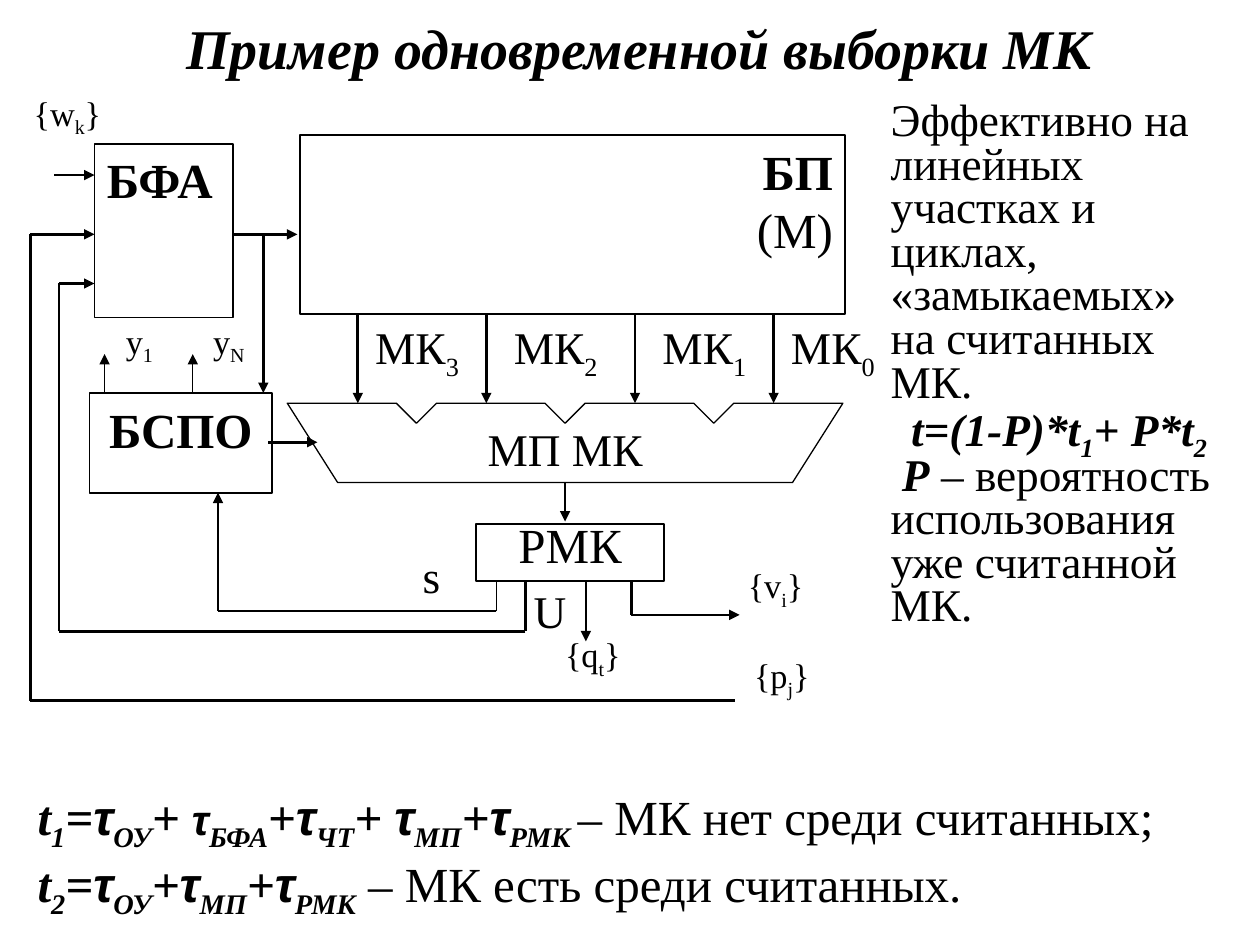
from collections import namedtuple
from itertools import pairwise

from lxml.etree import SubElement
from pptx import Presentation
from pptx.dml.color import RGBColor
from pptx.enum.shapes import MSO_CONNECTOR, MSO_SHAPE
from pptx.enum.text import MSO_ANCHOR, PP_ALIGN
from pptx.oxml.ns import qn
from pptx.util import Inches, Pt

BLACK = RGBColor(0, 0, 0)
SERIF, SANS = "Times New Roman", "Arial"
SMALL, MEDIUM, LARGE = 19.6, 25.9, 28
THIN, THICK = 0.75, 1.5
LEFT, CENTER, RIGHT = PP_ALIGN.LEFT, PP_ALIGN.CENTER, PP_ALIGN.RIGHT


class Box(namedtuple("Box", "left top width height")):
    @property
    def right(self):
        return self.left + self.width

    @property
    def bottom(self):
        return self.top + self.height

    @property
    def middle(self):
        return self.left + self.width / 2

    def inches(self):
        return [Inches(value) for value in self]


Part = namedtuple("Part", "text bold italic size", defaults=(False, False, None))


def add_spans(para, part):
    """Add a part's text: |x| is a subscript, and tau is set in the sans font."""
    for index, chunk in enumerate(part.text.split("|")):
        for piece in chunk.replace("τ", "\nτ\n").split("\n"):
            if not piece:
                continue
            span = para.add_run()
            span.text = piece
            span.font.bold, span.font.italic = part.bold, part.italic
            if piece == "τ":
                span.font.name = SANS
            if part.size:
                span.font.size = Pt(part.size)
            if index % 2:
                span.font._element.set("baseline", "-25000")


def write(frame, paragraphs, size, align=CENTER, spacing=None):
    """Fill a frame with paragraphs, each a list of parts."""
    frame.word_wrap = True
    frame.vertical_anchor = MSO_ANCHOR.TOP
    for index, parts in enumerate(paragraphs):
        para = frame.add_paragraph() if index else frame.paragraphs[0]
        para.alignment = align
        para.line_spacing = spacing
        para.font.name, para.font.size = SERIF, Pt(size)
        para.font.color.rgb = BLACK
        for part in parts:
            add_spans(para, part)


def add_label(page, box, text, size, spacing=None):
    frame = page.shapes.add_textbox(*box.inches()).text_frame
    write(frame, [[Part(text)]], size, spacing=spacing)


def outline(shape, width):
    shape.shadow.inherit = False
    shape.fill.background()
    shape.line.color.rgb, shape.line.width = BLACK, Pt(width)


def add_block(page, box, paragraphs, align=CENTER, spacing=None):
    block = page.shapes.add_shape(MSO_SHAPE.RECTANGLE, *box.inches())
    outline(block, 1)
    write(block.text_frame, paragraphs, LARGE, align, spacing)


def add_route(page, *points, width=THICK, arrow=True):
    """Join the points with straight lines, with an arrowhead at the last."""
    for start, end in pairwise(points):
        ends = [Inches(value) for value in (*start, *end)]
        wire = page.shapes.add_connector(MSO_CONNECTOR.STRAIGHT, *ends)
        wire.line.color.rgb, wire.line.width = BLACK, Pt(width)
        properties = wire._element.spPr
        if arrow and end == points[-1]:
            SubElement(properties.find(qn("a:ln")), qn("a:tailEnd"), type="triangle")
        SubElement(properties, qn("a:effectLst"))


def draw_title(page, box, text):
    title = page.shapes.title
    title.left, title.top, title.width, title.height = box.inches()
    write(title.text_frame, [[Part(text, True, True)]], 32)
    title.text_frame.vertical_anchor = MSO_ANCHOR.MIDDLE


def draw_selector(page, box):
    """Draw the trapezoid with three notches in its upper edge."""
    slant, notch, pitch = 0.4, 0.16, 1.18
    points = [(box.left, box.top)]
    for step in (-1, 0, 1):
        center = box.middle + step * pitch
        points += [(center - notch, box.top), (center, box.top + notch), (center + notch, box.top)]
    points += [(box.right, box.top), (box.right - slant, box.bottom), (box.left + slant, box.bottom)]
    corners = [(Inches(x), Inches(y)) for x, y in points]
    builder = page.shapes.build_freeform(*corners[0])
    builder.add_line_segments(corners[1:], close=True)
    outline(builder.convert_to_shape(), THIN)
    add_label(page, Box(box.left + 0.63, box.top + 0.09, 3.15, 0.54), "МП МК", MEDIUM)


def draw_memory_outputs(page, memory, selector):
    outputs = [(2.84, 2.84), (3.86, 3.94), (5.04, 5.12), (6.14, 6.14)]
    for number, (wire, label) in zip((3, 2, 1, 0), outputs):
        add_route(page, (wire, memory.bottom), (wire, selector.top))
        add_label(page, Box(label, memory.bottom + 0.08, 0.94, 0.47), f"МК|{number}|", MEDIUM, 0.7)


def draw_control_outputs(page, control):
    for wire, label, index in ((0.83, 0.75, "1"), (1.53, 1.46, "N")):
        add_route(page, (wire, control.top), (wire, control.top - 0.31), width=THIN)
        add_label(page, Box(label, control.top - 0.63, 0.71, 0.5), f"y|{index}|", SMALL)


def draw_wiring(page, address, memory, control, selector, register):
    bus = 1.86
    add_route(page, (0.43, 1.39), (address.left, 1.39))
    add_route(page, (address.right, bus), (memory.left - 0.02, bus))
    add_route(page, (2.09, bus), (2.09, control.top))
    add_route(page, (control.right - 0.03, 3.51), (2.52, 3.51))
    add_route(page, (selector.middle, selector.bottom), (selector.middle, register.top - 0.02))
    base = register.bottom + 0.01
    add_route(page, (3.94, base), (3.94, 4.85), (1.73, 4.85), (1.73, control.bottom), width=THIN)
    add_route(page, (4.17, base), (4.17, 5.01), (0.47, 5.01), (0.47, 2.25), (address.left, 2.25))
    add_route(page, (4.65, base), (4.65, 5.09))
    add_route(page, (5.01, base), (5.01, 4.88), (5.87, 4.88))
    add_route(page, (5.83, 5.56), (0.24, 5.56), (0.24, bus), (address.left, bus))


def draw_signals(page):
    signals = [(0, 0.68, "{w|k|}"), (4.17, 4.98, "{q|t|}"),
               (5.62, 4.43, "{v|i|}"), (5.67, 5.14, "{p|j|}")]
    for left, top, text in signals:
        add_label(page, Box(left, top, 1.07, 0.5), text, SMALL)
    for left, top, text in ((4.01, 4.58, "U"), (3.07, 4.3, "s")):
        add_label(page, Box(left, top, 0.71, 0.54), text, MEDIUM)


def draw_scheme(page):
    address = Box(0.75, 1.14, 1.1, 1.38)
    memory = Box(2.38, 1.07, 4.33, 1.42)
    control = Box(0.71, 3.12, 1.45, 0.79)
    selector = Box(2.28, 3.2, 4.41, 0.63)
    register = Box(3.78, 4.16, 1.49, 0.45)
    add_block(page, address, [[Part("БФА", True)]], LEFT)
    add_block(page, memory, [[Part("БП", True)], [Part("(M)")]], RIGHT)
    add_block(page, control, [[Part("БСПО", True)]])
    add_block(page, register, [[Part("РМК")]], spacing=0.7)
    draw_selector(page, selector)
    draw_memory_outputs(page, memory, selector)
    draw_control_outputs(page, control)
    draw_wiring(page, address, memory, control, selector, register)
    draw_signals(page)


def draw_remarks(page, box):
    frame = page.shapes.add_textbox(*box.inches()).text_frame
    write(frame, [
        [Part("Эффективно на линейных участках и циклах, «замыкаемых» на считанных МК.")],
        [Part("t=(1-P)*t|1|+ P*t|2|", True, True)],
        [Part(" "), Part("P", True, True), Part(" – вероятность использования уже считанной МК.")],
    ], MEDIUM, LEFT, 0.8)
    frame.paragraphs[1].alignment = CENTER


def draw_timings(page, box):
    frame = page.shapes.add_textbox(*box.inches()).text_frame
    write(frame, [
        [Part("t|1|=τ|ОУ|+ ", True, True), Part("τ", True, True, 24),
         Part("|БФА|+τ|ЧТ|+ τ|МП|+τ|РМК |", True, True), Part("– МК нет среди считанных;")],
        [Part("t|2|=τ|ОУ|+τ|МП|+τ|РМК|", True, True), Part(" – МК есть среди считанных.")],
    ], LARGE, LEFT)


def main():
    deck = Presentation()
    deck.slide_width, deck.slide_height = Inches(10), Inches(7.5)
    page = deck.slides.add_slide(deck.slide_layouts[5])
    draw_title(page, Box(0.35, 0.13, 9.45, 0.48), "Пример одновременной выборки МК")
    draw_scheme(page)
    draw_remarks(page, Box(6.97, 0.76, 2.87, 5.04))
    draw_timings(page, Box(0.2, 6.19, 9.61, 1.26))
    deck.save("out.pptx")


if __name__ == "__main__":
    main()
